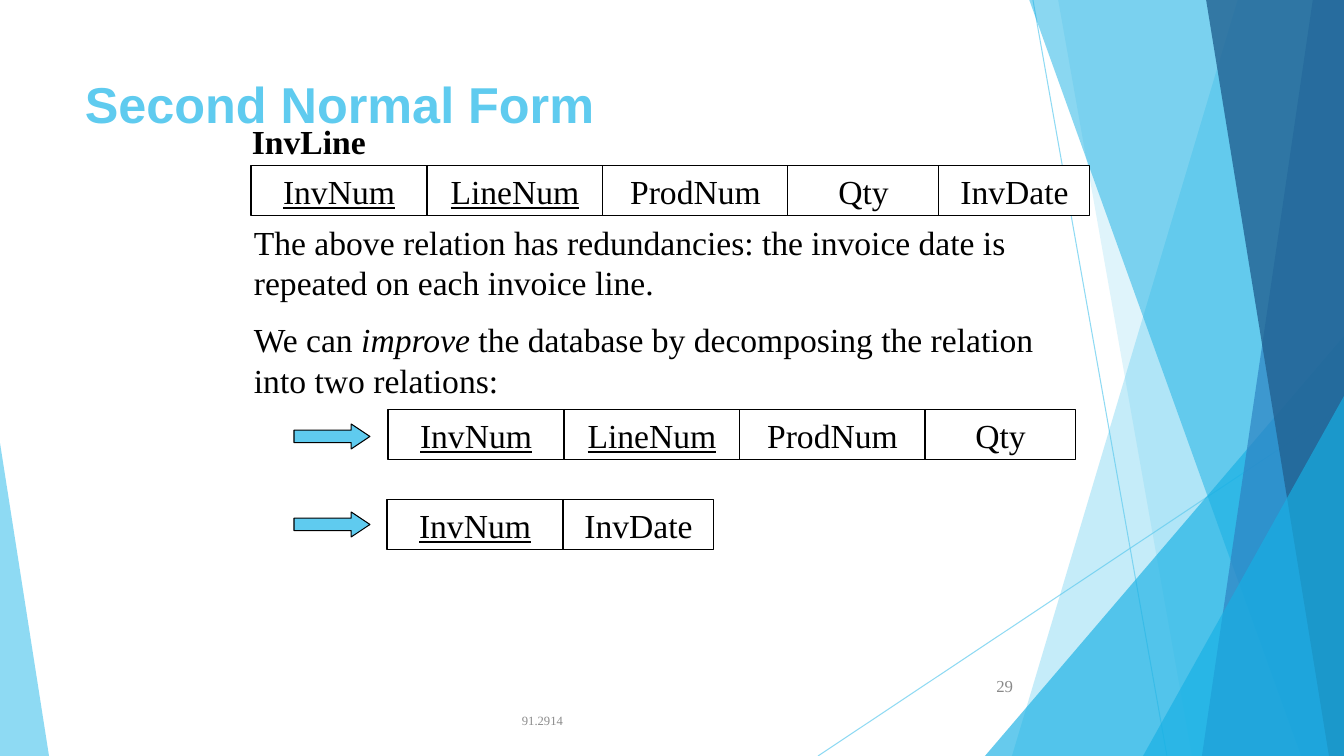
import pptx
import pptx.util
import pptx.dml.color
import pptx.enum.shapes
import pptx.enum.text
import pptx.oxml.ns
import lxml.etree

RGB = pptx.dml.color.RGBColor
SHAPE = pptx.enum.shapes.MSO_SHAPE
ALIGN = pptx.enum.text.PP_ALIGN
ANCHOR = pptx.enum.text.MSO_ANCHOR

SKY, AZURE = RGB(0x5F, 0xCB, 0xEF), RGB(0x17, 0xB0, 0xE4)
BLUE, NAVY = RGB(0x2E, 0x83, 0xC3), RGB(0x22, 0x62, 0x92)
BLACK, WHITE = RGB(0, 0, 0), RGB(255, 255, 255)
FOOTER_GREY, NUMBER_GREY = RGB(0x8C, 0x8C, 0x8C), RGB(0x89, 0x89, 0x89)

W, H = 1344, 756
SCALE = 12192000 / W

# Decoration, back to front
RAYS = [(1033, 0, 1167, H), (W, 406, 818, H)]
# band: top x, bottom x; triangle: left, top, width, apex position
DECOR = [
    ("band", (1238, 1012), SKY, 36),
    ("band", (1058, 1192), SKY, 20),
    ("triangle", (985, 336, 359, 1), AZURE, 66),
    ("band", (1029, 1301), AZURE, 50),
    ("band", (1313, 1202), BLUE, 70),
    ("band", (1206, 1329), NAVY, 80),
    ("triangle", (1143, 396, 201, 1), AZURE, 66),
    ("triangle", (0, 443, 49, 0), SKY, 70),
]

# Attribute: width, part of the key
ATTRIBUTES = {
    "InvNum": (176, True),
    "LineNum": (176, True),
    "ProdNum": (185, False),
    "Qty": (151, False),
    "InvDate": (151, False),
}
ROW_H = 50
RELATIONS = [
    (251, 166, ["InvNum", "LineNum", "ProdNum", "Qty", "InvDate"]),
    (388, 410, ["InvNum", "LineNum", "ProdNum", "Qty"]),
    (387, 500, ["InvNum", "InvDate"]),
]
ARROWS = [(294, 424), (294, 512)]

BODY = {"name": "Times New Roman", "size": 24, "color": BLACK}
TITLE = {"name": "Arial", "size": 36, "color": SKY, "bold": True}
# Box, paragraphs of (text, extra format) runs, format, alignment, anchor, wrap
TEXTS = [
    ((75, 68, 948, 145), [[("Second Normal Form", {})]],
     TITLE, ALIGN.LEFT, ANCHOR.TOP, True),
    ((512, 701, 320, 40), [[("91.2914", {})]],
     BODY | {"size": 9, "color": FOOTER_GREY}, ALIGN.LEFT, ANCHOR.MIDDLE, True),
    ((947, 666, 76, 40), [[("29", {})]],
     BODY | {"size": 12, "color": NUMBER_GREY}, ALIGN.RIGHT, ANCHOR.MIDDLE, True),
    ((242, 116, 134, 50), [[("InvLine", {})]],
     BODY | {"bold": True}, ALIGN.LEFT, ANCHOR.TOP, False),
    ((244, 217, 857, 194), [
        [("The above relation has redundancies: the invoice date is "
          "repeated on each invoice line.", {})],
        [("We can ", {}), ("improve", {"italic": True}),
         (" the database by decomposing the relation into two relations:", {})],
    ], BODY, ALIGN.LEFT, ANCHOR.TOP, True),
]


def px(*lengths):
    return [pptx.util.Emu(round(n * SCALE)) for n in lengths]


def set_opacity(shape, percent):
    color = shape._element.spPr.find(".//" + pptx.oxml.ns.qn("a:srgbClr"))
    alpha = lxml.etree.SubElement(color, pptx.oxml.ns.qn("a:alpha"))
    alpha.set("val", str(percent * 1000))


def paint(s, fill, outline=None):
    s.shadow.inherit = False
    s.fill.solid()
    s.fill.fore_color.rgb = fill
    if outline is None:
        s.line.fill.background()
    else:
        s.line.color.rgb = outline
        s.line.width = pptx.util.Pt(0.75)


def write(tf, paragraphs, fmt, align, anchor=ANCHOR.TOP, wrap=True):
    tf.word_wrap = wrap
    tf.vertical_anchor = anchor
    for i, runs in enumerate(paragraphs):
        p = tf.add_paragraph() if i else tf.paragraphs[0]
        p.alignment = align
        if i:
            p.space_before = pptx.util.Pt(fmt["size"] / 2)
        for text, extra in runs:
            r = p.add_run()
            r.text = text
            for key, value in (fmt | extra).items():
                if key == "color":
                    r.font.color.rgb = value
                else:
                    setattr(r.font, key, pptx.util.Pt(value) if key == "size" else value)


def add_decoration(shapes):
    for ray in RAYS:
        s = shapes.add_connector(pptx.enum.shapes.MSO_CONNECTOR.STRAIGHT, *px(*ray))
        s.line.color.rgb = SKY
        s.line.width = pptx.util.Pt(0.75)
        set_opacity(s, 70)
        lxml.etree.SubElement(s._element.spPr, pptx.oxml.ns.qn("a:effectLst"))
    for kind, geometry, color, opacity in DECOR:
        if kind == "band":
            top, bottom = geometry
            outline = shapes.build_freeform(top, -1, scale=SCALE)
            outline.add_line_segments([(W, -1), (W, H), (bottom, H)], close=True)
            s = outline.convert_to_shape()
        else:
            left, top, width, apex = geometry
            s = shapes.add_shape(SHAPE.ISOSCELES_TRIANGLE, *px(left, top, width, H - top))
            s.adjustments[0] = apex
        paint(s, color)
        set_opacity(s, opacity)


def add_relation(shapes, left, top, names):
    for name in names:
        width, is_key = ATTRIBUTES[name]
        s = shapes.add_shape(SHAPE.RECTANGLE, *px(left, top, width, ROW_H))
        paint(s, WHITE, BLACK)
        write(s.text_frame, [[(name, {"underline": is_key})]], BODY, ALIGN.CENTER)
        left += width


def main():
    prs = pptx.Presentation()
    prs.slide_width, prs.slide_height = px(W, H)
    shapes = prs.slides.add_slide(prs.slide_layouts[6]).shapes
    add_decoration(shapes)
    for box, *content in TEXTS:
        write(shapes.add_textbox(*px(*box)).text_frame, *content)
    for relation in RELATIONS:
        add_relation(shapes, *relation)
    for left, top in ARROWS:
        s = shapes.add_shape(SHAPE.RIGHT_ARROW, *px(left, top, 76, 25))
        s.adjustments[0], s.adjustments[1] = 0.5, 0.75
        paint(s, SKY, BLACK)
    prs.save("out.pptx")


if __name__ == "__main__":
    main()
